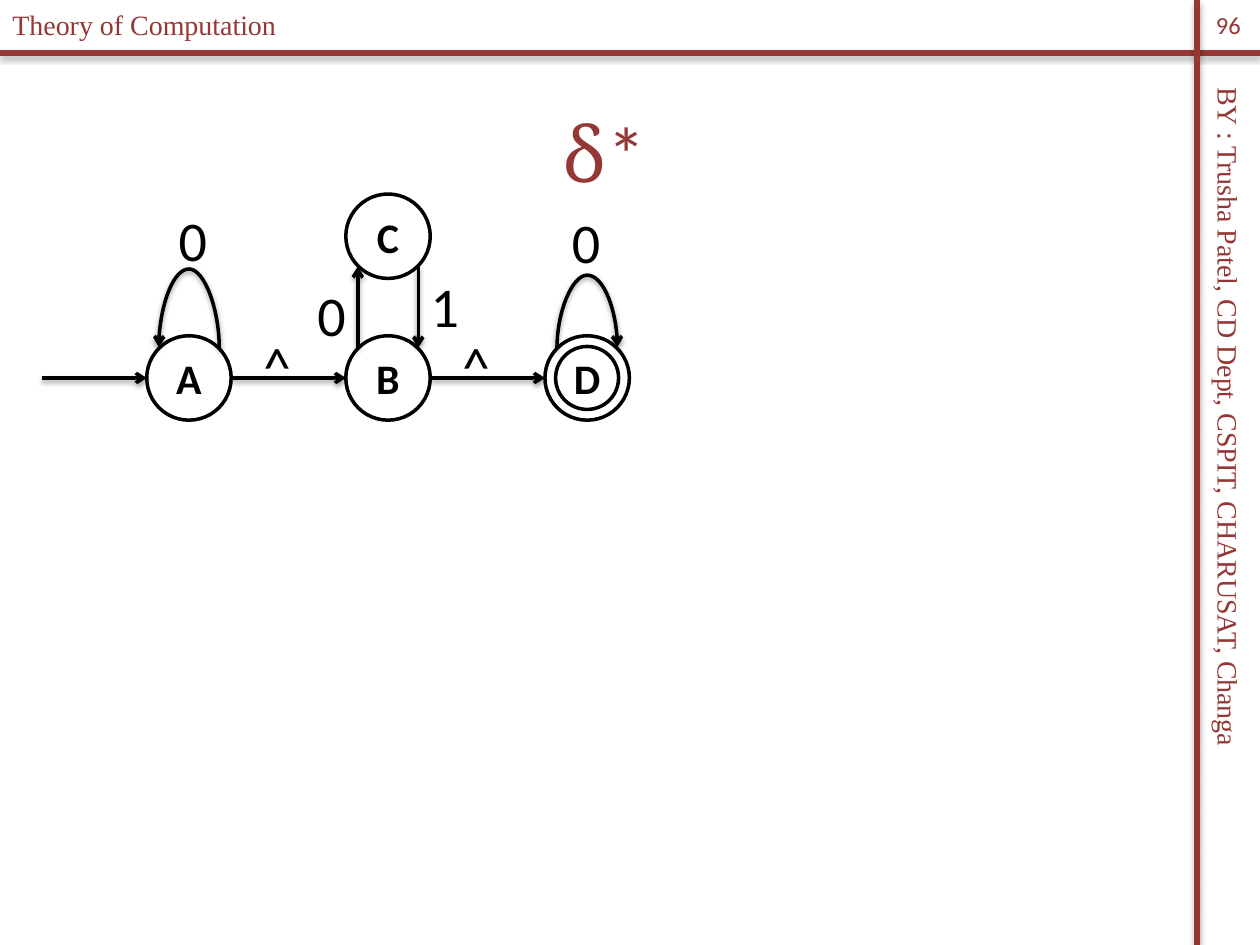
from lxml import etree
from pptx import Presentation
from pptx.dml.color import RGBColor
from pptx.enum.shapes import MSO_CONNECTOR, MSO_SHAPE
from pptx.enum.text import MSO_ANCHOR, PP_ALIGN
from pptx.oxml.ns import qn
from pptx.util import Inches, Pt

STRAIGHT, CURVE = MSO_CONNECTOR.STRAIGHT, MSO_CONNECTOR.CURVE
OVAL = MSO_SHAPE.OVAL
TOP, MIDDLE = MSO_ANCHOR.TOP, MSO_ANCHOR.MIDDLE
LEFT, CENTER = PP_ALIGN.LEFT, PP_ALIGN.CENTER
MAROON, BLACK, WHITE = "953735", "000000", "FFFFFF"
SERIF, SANS, MATH = "Times New Roman", "Calibri", "Cambria"
RADIUS = 0.335
PORT = 0.24
LOOP_DEPTH = 0.01


def rgb(color):
    return RGBColor.from_string(color)


def write(frame, text, size=32, font=SANS, color=BLACK, bold=False, align=LEFT, anchor=TOP):
    frame.word_wrap = True
    frame.vertical_anchor = anchor
    paragraph = frame.paragraphs[0]
    paragraph.alignment = align
    run = paragraph.add_run()
    run.text = text
    run.font.size = Pt(size)
    run.font.name = font
    run.font.bold = bold
    run.font.color.rgb = rgb(color)


def add_label(slide, box, text, rotation=0, **style):
    label = slide.shapes.add_textbox(*map(Inches, box))
    label.rotation = rotation
    write(label.text_frame, text, **style)


def style_line(line, color, width):
    line.color.rgb = rgb(color)
    line.width = Pt(width)


def add_shadow(connector, alpha, distance):
    effects = etree.SubElement(connector._element.spPr, qn("a:effectLst"))
    shadow = etree.SubElement(effects, qn("a:outerShdw"), blurRad=str(Pt(3.1)),
                              dist=str(Pt(distance)), dir="5400000", rotWithShape="0")
    tint = etree.SubElement(shadow, qn("a:srgbClr"), val=BLACK)
    etree.SubElement(tint, qn("a:alpha"), val=str(alpha * 1000))


def add_rule(slide, start, end):
    rule = slide.shapes.add_connector(STRAIGHT, *map(Inches, start + end))
    style_line(rule.line, MAROON, 3)
    add_shadow(rule, 35, 1.8)


def finish_arrow(arrow):
    style_line(arrow.line, BLACK, 2)
    etree.SubElement(arrow.line._get_or_add_ln(), qn("a:tailEnd"), type="arrow")
    add_shadow(arrow, 38, 1.6)


def add_arrow(slide, start, end):
    finish_arrow(slide.shapes.add_connector(STRAIGHT, *map(Inches, start + end)))


def add_loop(slide, center, height, clockwise):
    x, y = center[0], center[1] - PORT
    loop = slide.shapes.add_connector(
        CURVE, Inches(x - LOOP_DEPTH / 2), Inches(y - PORT),
        Inches(x + LOOP_DEPTH / 2), Inches(y + PORT))
    frame = loop._element.spPr.find(qn("a:xfrm"))
    frame.set("rot", "5400000" if clockwise else "16200000")
    frame.set("flipV", "1")
    if clockwise:
        frame.set("flipH", "1")
    adjustments = loop._element.spPr.find(qn("a:prstGeom")).get_or_add_avLst()
    ratio = round(height / LOOP_DEPTH * 100000)
    etree.SubElement(adjustments, qn("a:gd"), name="adj1", fmla=f"val {ratio}")
    finish_arrow(loop)


def add_circle(slide, center, radius):
    x, y = center
    circle = slide.shapes.add_shape(OVAL, Inches(x - radius), Inches(y - radius),
                                    Inches(2 * radius), Inches(2 * radius))
    circle.shadow.inherit = False
    circle.fill.solid()
    circle.fill.fore_color.rgb = rgb(WHITE)
    style_line(circle.line, BLACK, 2)
    return circle


def add_state(slide, center, name, accepting=False):
    circle = add_circle(slide, center, RADIUS)
    if accepting:
        circle = add_circle(slide, center, 0.25)
    frame = circle.text_frame
    frame.margin_left = frame.margin_right = 0
    write(frame, name, size=24, bold=True, align=CENTER, anchor=MIDDLE)


def build_frame(slide, left, top, width, height):
    margin, header = 0.5, 0.42
    edge = left + width - margin
    add_rule(slide, (left, top + header), (left + width, top + header))
    add_rule(slide, (edge, top), (edge, top + height))
    add_label(slide, (edge - 2.96, top + 3.62, 6.42, 0.37),
              "BY : Trusha Patel, CD Dept, CSPIT, CHARUSAT, Changa",
              rotation=90, size=16, font=SERIF, color=MAROON)
    add_label(slide, (left, top + 0.01, 3.29, 0.37), "Theory of Computation",
              size=16, font=SERIF, color=MAROON)
    add_label(slide, (edge, top, margin, 0.4), "96",
              size=14, color=MAROON, align=CENTER, anchor=MIDDLE)


def build_title(slide, left, top, width, height):
    title = slide.shapes.title
    title.left, title.top = Inches(left), Inches(top)
    title.width, title.height = Inches(width), Inches(height)
    for text, font in (("δ", MATH), ("*", SANS)):
        write(title.text_frame, text, size=44, font=font, color=MAROON,
              align=CENTER, anchor=MIDDLE)


def build_automaton(slide, left, top):
    step = 1.58
    row = top + 1.46
    a, b, d = [(left + 1.17 + i * step, row) for i in range(3)]
    c = (b[0], top + RADIUS)
    for name, center in zip("ABCD", (a, b, c, d)):
        add_state(slide, center, name, accepting=center == d)

    add_arrow(slide, (left, row), (a[0] - RADIUS, row))
    for source, target in ((a, b), (b, d)):
        add_arrow(slide, (source[0] + RADIUS, row), (target[0] - RADIUS, row))
    lower, upper = row - PORT, c[1] + PORT
    add_arrow(slide, (b[0] - PORT, lower), (b[0] - PORT, upper))
    add_arrow(slide, (b[0] + PORT, upper), (b[0] + PORT, lower))
    add_loop(slide, a, 0.64, clockwise=False)
    add_loop(slide, d, 0.59, clockwise=True)

    labels = (("1", 2.99, 0.57), ("0", 0.99, 0.04), ("0", 4.11, 0.06),
              ("0", 2.09, 0.64), ("^", 1.66, 1.04), ("^", 1.66 + step, 1.04))
    for text, x, y in labels:
        add_label(slide, (left + x, top + y, 0.43, 0.64), text)


def main():
    deck = Presentation()
    deck.slide_width, deck.slide_height = Inches(10), Inches(7.5)
    slide = deck.slides.add_slide(deck.slide_layouts[5])
    build_frame(slide, 0, 0, 10, 7.5)
    build_title(slide, 0.17, 0.58, 9.25, 1.25)
    build_automaton(slide, 0.33, 1.54)
    deck.save("out.pptx")


if __name__ == "__main__":
    main()
